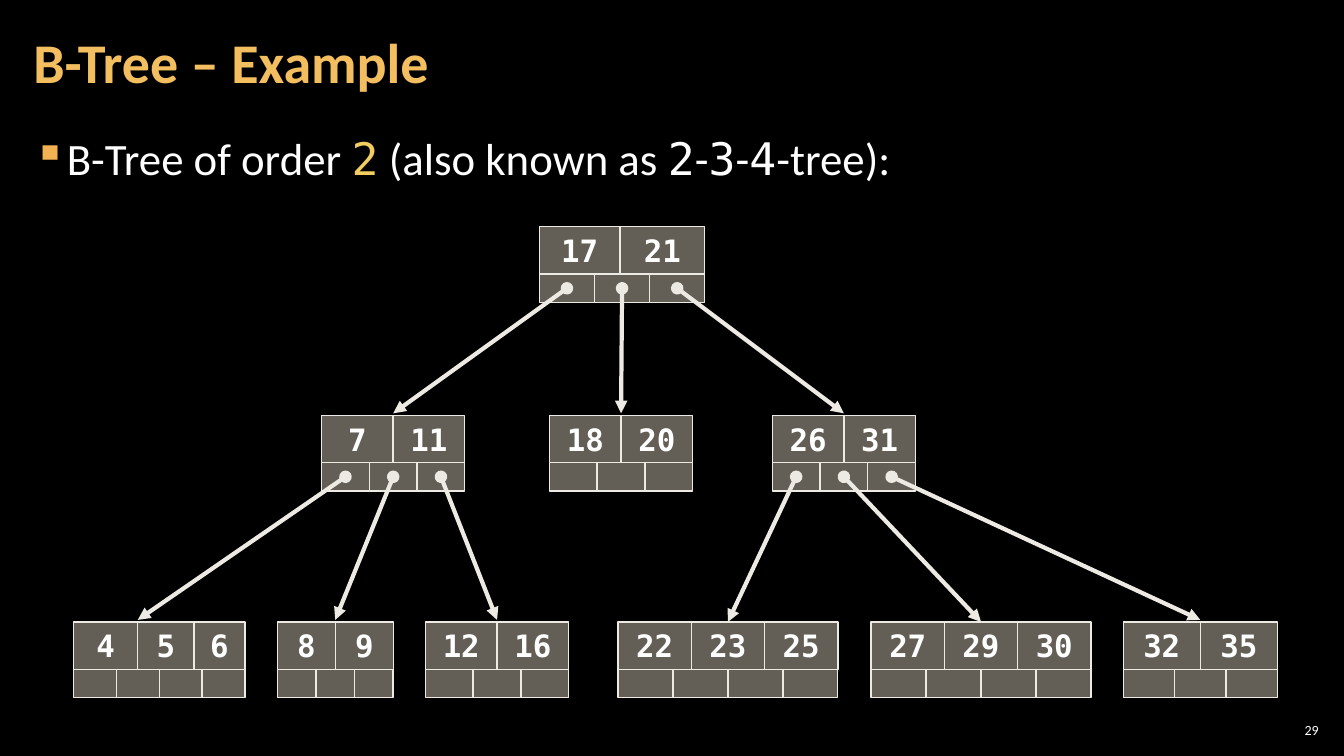
from lxml.etree import SubElement
from pptx import Presentation
from pptx.dml.color import RGBColor
from pptx.enum.shapes import MSO_CONNECTOR as Connector, MSO_SHAPE as Shape
from pptx.enum.text import MSO_ANCHOR as Anchor, MSO_AUTO_SIZE as AutoSize, PP_ALIGN as Align
from pptx.oxml.ns import qn
from pptx.util import Inches, Pt

SANS, MONO = "Calibri", "DejaVu Sans Mono"
WHITE, GOLD, CELL, EDGE = "FFFFFF", "F3BE60", "C7BFAC", "ECEAE3"
KEY_HEIGHT, POINTER_HEIGHT, ARROW_GAP = 0.47, 0.28, 0.02
LEVEL_TOPS = [2.25, 4.12, 6.17]


def style(font, size=None, name=None, color=None, bold=None):
    font.size = Pt(size) if size else None
    font.name = name
    font.bold = bold
    if color:
        font.color.rgb = RGBColor.from_string(color)


def add_cell(node, left, top, width, height):
    cell = node.shapes.add_shape(
        Shape.RECTANGLE, Inches(left), Inches(top), Inches(width), Inches(height))
    cell.shadow.inherit = False
    cell.fill.solid()
    cell.fill.fore_color.rgb = RGBColor.from_string(CELL)
    tint = cell._element.spPr.find(qn("a:solidFill")).find(qn("a:srgbClr"))
    SubElement(tint, qn("a:alpha"), val="50000")
    cell.line.color.rgb = RGBColor.from_string(EDGE)
    cell.line.width = Pt(1)
    return cell


deck = Presentation()
deck.slide_width, deck.slide_height = Inches(13.33), Inches(7.5)
slide = deck.slides.add_slide(deck.slide_layouts[5])
slide.background.fill.solid()
slide.background.fill.fore_color.rgb = RGBColor.from_string("000000")

title = slide.shapes.title
title.left, title.top, title.width, title.height = map(Inches, (0.21, 0.04, 10.47, 1.21))
statement = slide.shapes.add_textbox(*map(Inches, (0.21, 1.26, 12.91, 0.8)))
number = slide.shapes.add_textbox(*map(Inches, (12.65, 7.14, 0.47, 0.21)))
for holder, inset, anchor in [(title, 0.12, Anchor.MIDDLE),
                              (statement, 0.12, Anchor.TOP),
                              (number, 0.04, Anchor.MIDDLE)]:
    frame = holder.text_frame
    frame.word_wrap = True
    frame.auto_size = AutoSize.NONE
    frame.vertical_anchor = anchor
    frame.margin_left = frame.margin_right = Inches(inset)
    frame.margin_top = frame.margin_bottom = Inches(0.04)

title.text_frame.text = "B-Tree – Example"
heading = title.text_frame.paragraphs[0]
heading.alignment = Align.LEFT
heading.line_spacing = 0.9
style(heading.font, 40, SANS, GOLD, True)

number.text_frame.text = "29"
page = number.text_frame.paragraphs[0]
page.alignment = Align.RIGHT
style(page.font, 10, SANS, WHITE)

bullet = statement.text_frame.paragraphs[0]
bullet.space_before = bullet.space_after = Pt(6)
bullet_format = bullet._p.get_or_add_pPr()
bullet_format.set("marL", str(Inches(0.33)))
bullet_format.set("indent", str(-Inches(0.33)))
SubElement(SubElement(bullet_format, qn("a:buClr")), qn("a:srgbClr"), val="F2B254")
SubElement(bullet_format, qn("a:buChar"), char="▪")
for words, face, color in [("B-Tree of order ", SANS, WHITE), ("2", MONO, "F3CD60"),
                           (" (also known as ", SANS, WHITE), ("2", MONO, WHITE),
                           ("-", SANS, WHITE), ("3", MONO, WHITE),
                           ("-", SANS, WHITE), ("4", MONO, WHITE),
                           ("-tree):", SANS, WHITE)]:
    part = bullet.add_run()
    part.text = words
    style(part.font, 32, face, color)

# level, left, width, keys with their share of the width, children by first key
tree = [
    (0, 5.35, 1.64, {17: 0.8, 21: 0.84}, [7, 18, 26]),
    (1, 3.19, 1.42, {7: 1, 11: 1}, [4, 8, 12]),
    (1, 5.45, 1.42, {18: 1, 20: 1}, []),
    (1, 7.66, 1.42, {26: 1, 31: 1}, [22, 27, 32]),
    (2, 0.73, 1.7, {4: 0.64, 5: 0.56, 6: 0.51}, []),
    (2, 2.75, 1.15, {8: 1, 9: 1}, []),
    (2, 4.22, 1.42, {12: 1, 16: 1}, []),
    (2, 6.13, 2.18, {22: 1, 23: 1, 25: 1}, []),
    (2, 8.64, 2.18, {27: 1, 29: 1, 30: 1}, []),
    (2, 11.14, 1.53, {32: 1, 35: 1}, []),
]
landings, middle_keys, links = {}, {}, []
for level, left, width, keys, children in tree:
    node = slide.shapes.add_group_shape()
    top = LEVEL_TOPS[level]
    first_key = next(iter(keys))
    landings[first_key] = (left + width / 2, top - ARROW_GAP)
    key_left = left
    for position, (key, share) in enumerate(keys.items()):
        key_width = width * share / sum(keys.values())
        cell = add_cell(node, key_left, top, key_width, KEY_HEIGHT)
        cell.text_frame.text = str(key)
        cell.text_frame.vertical_anchor = Anchor.MIDDLE
        label = cell.text_frame.paragraphs[0]
        label.alignment = Align.CENTER
        style(label.font, 22, MONO, WHITE, True)
        key_left += key_width
        if key == 4:
            landings[first_key] = (key_left, top - ARROW_GAP)
        elif len(keys) == 3 and position == 1 and first_key != 4:
            middle_keys[first_key] = cell

    pointer_width = width / (len(keys) + 1)
    pointer_top = top + KEY_HEIGHT
    for column in range(len(keys) + 1):
        add_cell(node, left + column * pointer_width, pointer_top, pointer_width, POINTER_HEIGHT)
    for column, child in enumerate(children):
        links.append((left + (column + 0.5) * pointer_width,
                      pointer_top + POINTER_HEIGHT / 2, child))

for start_x, start_y, child in links:
    arrow = slide.shapes.add_connector(
        Connector.STRAIGHT, *map(Inches, (start_x, start_y, *landings[child])))
    if child in middle_keys:
        arrow.end_connect(middle_keys[child], 0)
    arrow.line.color.rgb = RGBColor.from_string(EDGE)
    arrow.line.width = Pt(3)
    outline = arrow.line._get_or_add_ln()
    SubElement(outline, qn("a:headEnd"), type="oval")
    SubElement(outline, qn("a:tailEnd"), type="triangle")
    SubElement(arrow._element.spPr, qn("a:effectLst"))

deck.save("out.pptx")
